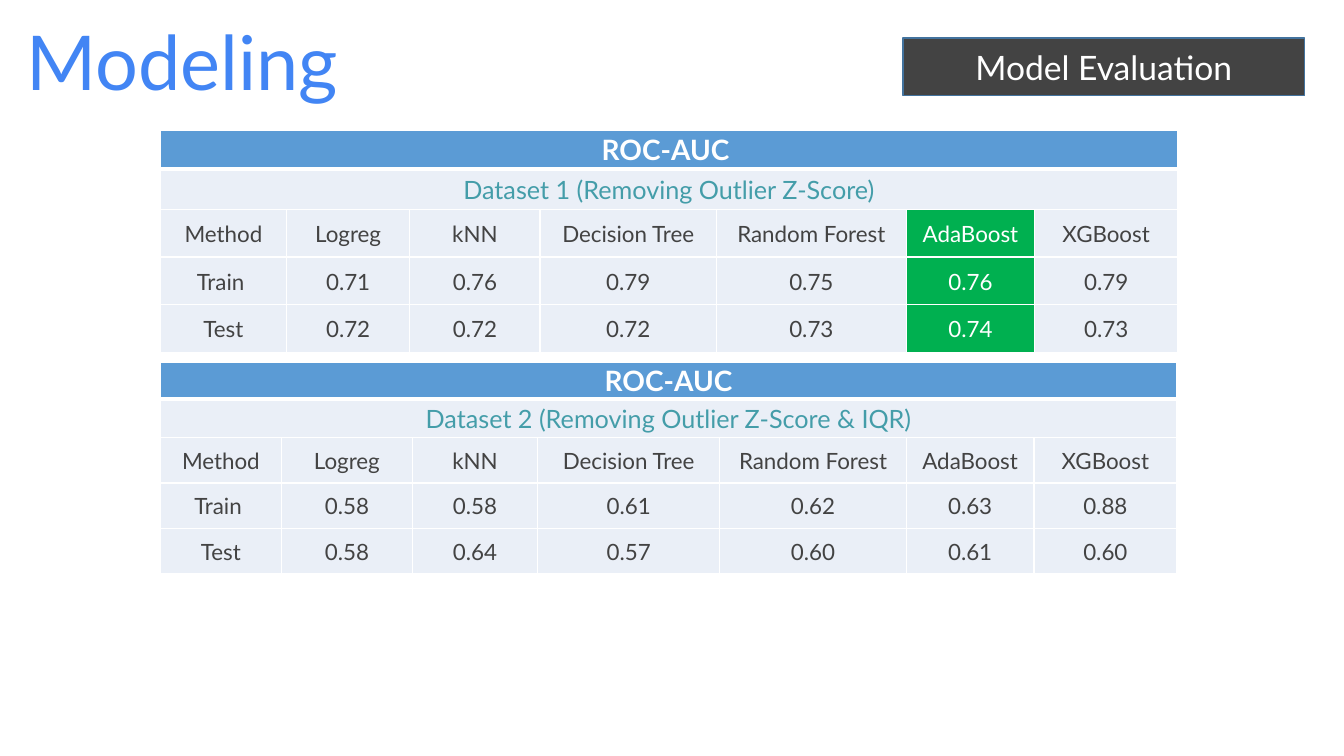
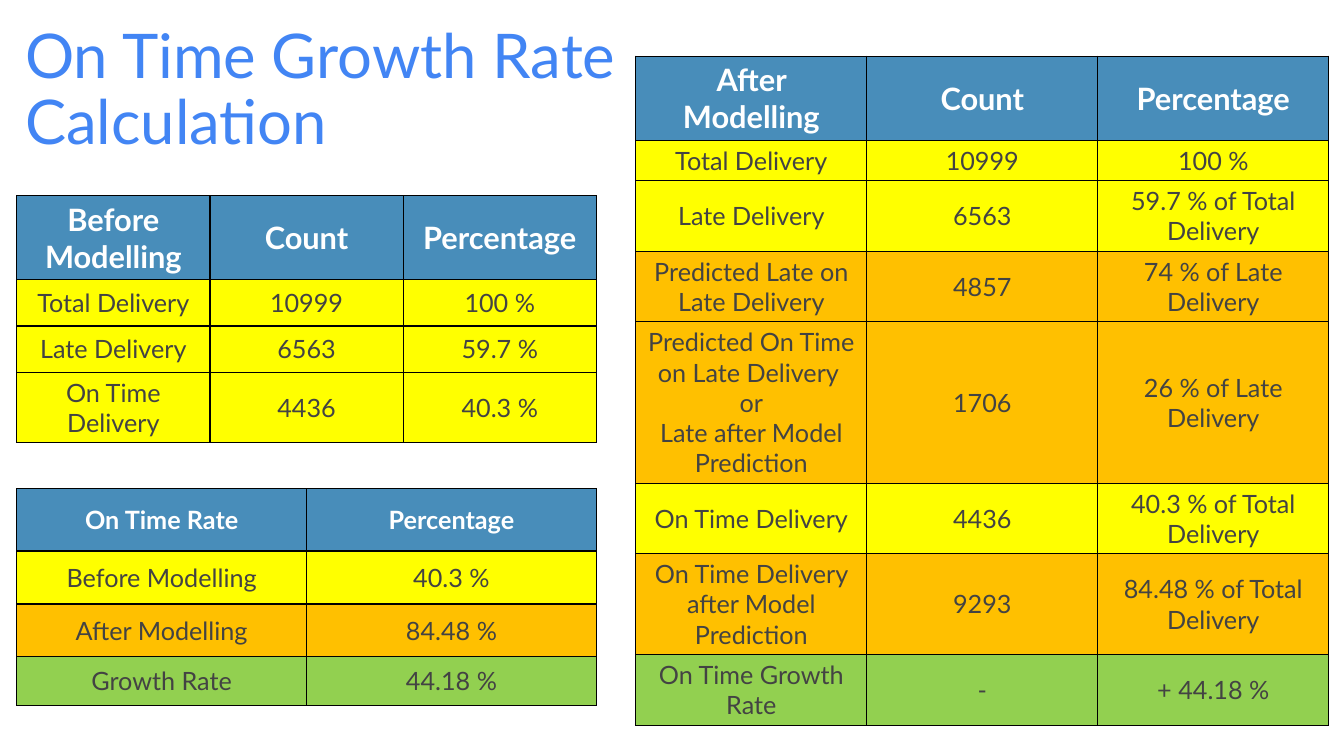
from lxml.etree import SubElement
from pptx import Presentation
from pptx.dml.color import RGBColor
from pptx.enum.shapes import MSO_SHAPE as Shape
from pptx.enum.text import MSO_ANCHOR as Anchor, PP_ALIGN as Align
from pptx.oxml.ns import qn
from pptx.util import Inches, Pt

rgb = RGBColor.from_string
FONT = "Lato"
WHITE, BLACK, DARK = "FFFFFF", "000000", "434343"
TITLE_BLUE = "4285F4"
UNIT = Inches(1) / 12  # the slide is a grid of 160 columns and 90 rows

# Cell styles: fill, text colour, text size, bold
STYLES = {
    "metric": ("5B9BD5", WHITE, 20, True),
    "dataset": ("EAEFF7", "449DA9", 18, False),
    "score": ("EAEFF7", DARK, 16, False),
    "best": ("00B050", WHITE, 16, False),
    "header": ("488DBA", WHITE, 22, True),
    "small header": ("488DBA", WHITE, 18, True),
    "actual": ("FFFF00", DARK, 18, False),
    "predicted": ("FFC000", DARK, 18, False),
    "growth": ("92D050", DARK, 18, False),
}


def write(frame, text, size, color, bold=False, align=Align.CENTER, spacing=None):
    """Fill a text frame, one paragraph for each line of text."""
    frame.word_wrap = True
    for index, line in enumerate(text.split("\n")):
        paragraph = frame.add_paragraph() if index else frame.paragraphs[0]
        paragraph.alignment = align
        paragraph.line_spacing = spacing
        run = paragraph.add_run()
        run.text = line
        run.font.name = FONT
        run.font.size = Pt(size)
        run.font.bold = bold
        run.font.color.rgb = rgb(color)


def add_grid(slide, left, top, columns, rows, line_color, header_line=1,
             margins=(0.1, 0.05, 0.1, 0.05), best_column=None):
    """Add a table; a row is (height, style, texts), and a lone text spans it."""
    box = [round(n * UNIT) for n in (left, top, sum(columns), sum(row[0] for row in rows))]
    table = slide.shapes.add_table(len(rows), len(columns), *box).table
    for column, width in zip(table.columns, columns):
        column.width = round(width * UNIT)
    for r, (height, row_style, texts) in enumerate(rows):
        table.rows[r].height = round(height * UNIT)
        spans = len(texts) == 1
        if spans:
            table.cell(r, 0).merge(table.cell(r, len(columns) - 1))
        for c in range(len(columns)):
            cell = table.cell(r, c)
            style = "best" if c == best_column and not spans else row_style
            fill, color, size, bold = STYLES[style]
            cell.vertical_anchor = Anchor.MIDDLE
            cell.margin_left, cell.margin_top, cell.margin_right, cell.margin_bottom = map(
                Inches, margins)
            properties = cell._tc.get_or_add_tcPr()
            for side in "LRTB":
                thick = (r, side) in ((0, "B"), (1, "T"))
                width = Pt(header_line if thick else 1)
                line = SubElement(properties, qn(f"a:ln{side}"), w=str(width))
                solid = SubElement(line, qn("a:solidFill"))
                SubElement(solid, qn("a:srgbClr"), val=line_color)
            cell.fill.solid()
            cell.fill.fore_color.rgb = rgb(fill)
            if c < len(texts):
                write(cell.text_frame, texts[c], size, color, bold)


presentation = Presentation()
presentation.slide_width = round(160 * UNIT)
presentation.slide_height = round(90 * UNIT)

# Titles: text, size, left, width
titles = [
    ("Modeling", 54, 2, 48),
    ("On Time Growth Rate\nCalculation", 44, 1.8, 85.8),
]
slides = []
for text, size, left, width in titles:
    slide = presentation.slides.add_slide(presentation.slide_layouts[6])
    title = slide.shapes.add_textbox(*[round(n * UNIT) for n in (left, 1.8, width, 11.5)])
    frame = title.text_frame
    frame.margin_left = frame.margin_top = frame.margin_right = frame.margin_bottom = Inches(0.1)
    write(frame, text, size, TITLE_BLUE, align=Align.LEFT, spacing=0.9)
    slides.append(slide)
modeling, growth = slides

# Model evaluation
label = modeling.shapes.add_shape(
    Shape.RECTANGLE, *[round(n * UNIT) for n in (107.5, 4.5, 47.8, 6.9)])
label.shadow.inherit = False
label.fill.solid()
label.fill.fore_color.rgb = rgb(DARK)
label.line.color.rgb = rgb("43739E")
label.line.width = Pt(1)
label.text_frame.vertical_anchor = Anchor.MIDDLE
write(label.text_frame, "Model Evaluation", 24, WHITE)

methods = ["Method", "Logreg", "kNN", "Decision Tree", "Random Forest", "AdaBoost", "XGBoost"]
# Score tables: top, columns, row heights, metric, dataset, train, test, best column
score_tables = [
    (15.5, [15, 14.7, 15.5, 21, 22.6, 15.3, 17], (4.6, 4.8, 5.7),
     "ROC-AUC ", "Dataset 1 (Removing Outlier Z-Score)",
     ["0.71", "0.76", "0.79", "0.75", "0.76", "0.79"],
     ["0.72", "0.72", "0.72", "0.73", "0.74", "0.73"], methods.index("AdaBoost")),
    (43.1, [14.4, 15.6, 14.9, 21.7, 22.2, 15.2, 17], (4.4, 4.6, 5.4),
     "ROC-AUC", "Dataset 2 (Removing Outlier Z-Score & IQR)",
     ["0.58", "0.58", "0.61", "0.62", "0.63", "0.88"],
     ["0.58", "0.64", "0.57", "0.60", "0.61", "0.60"], None),
]
for top, columns, heights, metric, dataset, train, test, best_column in score_tables:
    metric_height, dataset_height, score_height = heights
    rows = [
        (metric_height, "metric", [metric]),
        (dataset_height, "dataset", [dataset]),
        (score_height, "score", methods),
        (score_height, "score", ["Train "] + train),
        (score_height, "score", ["Test"] + test),
    ]
    add_grid(modeling, 19.1, top, columns, rows, WHITE, header_line=3,
             margins=(0.01, 0.01, 0.01, 0), best_column=best_column)

# On time growth rate
before_rows = [
    (10, "header", ["Before Modelling", "Count", "Percentage"]),
    (5.5, "actual", ["Total Delivery", "10999", "100 %"]),
    (5.5, "actual", ["Late Delivery", "6563", "59.7 %"]),
    (8.4, "actual", ["On Time Delivery", "4436", "40.3 %"]),
]
after_rows = [
    (10, "header", ["After Modelling", "Count", "Percentage"]),
    (4.8, "actual", ["Total Delivery", "10999", "100 %"]),
    (8.4, "actual", ["Late Delivery", "6563", "59.7 % of Total Delivery"]),
    (8.4, "predicted", ["Predicted Late on Late Delivery", "4857", "74 % of Late Delivery"]),
    (19.2, "predicted", [
        "Predicted On Time on Late Delivery \nor\nLate after Model Prediction",
        "1706", "26 % of Late Delivery"]),
    (8.4, "actual", ["On Time Delivery", "4436", "40.3 % of Total Delivery"]),
    (12, "predicted", [
        "On Time Delivery after Model Prediction", "9293", "84.48 % of Total Delivery"]),
    (8.4, "growth", ["On Time Growth Rate", "-", "+ 44.18 %"]),
]
rate_rows = [
    (7.4, "small header", ["On Time Rate", "Percentage"]),
    (6.3, "actual", ["Before Modelling", "40.3 %"]),
    (6.3, "predicted", ["After Modelling", "84.48 %"]),
    (5.8, "growth", ["Growth Rate", "44.18 %"]),
]
for left, top, width, rows in [
    (2, 23.3, 69, before_rows),
    (75.7, 6.7, 82.5, after_rows),
    (2, 58.2, 69, rate_rows),
]:
    count = len(rows[0][2])
    add_grid(growth, left, top, [width / count] * count, rows, BLACK)

presentation.save("out.pptx")
